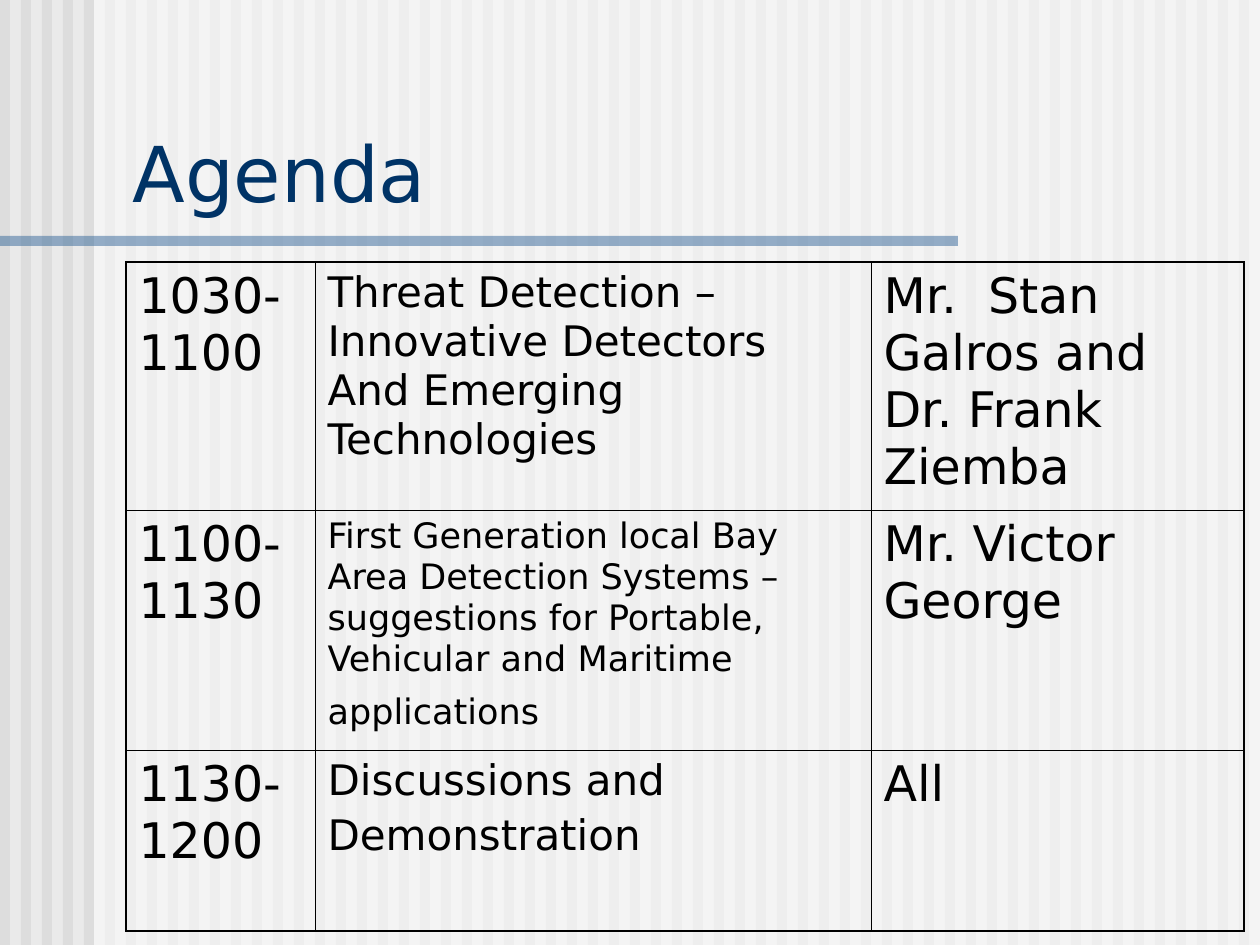
from lxml.etree import SubElement
from pptx import Presentation
from pptx.dml.color import RGBColor as RGB
from pptx.enum.shapes import MSO_SHAPE as SHAPE
from pptx.enum.text import MSO_ANCHOR as ANCHOR
from pptx.oxml.ns import qn
from pptx.util import Emu, Pt

PAPER = RGB(0xEA, 0xEA, 0xEA)
STRIPE = RGB(0xDD, 0xDD, 0xDD)
WHITE = RGB(0xFF, 0xFF, 0xFF)
BLUE = RGB(0x33, 0x66, 0x99)
NAVY = RGB(0x00, 0x33, 0x66)
BLACK = RGB(0x00, 0x00, 0x00)
FONT = "DejaVu Sans"
THICK, THIN = 1.08, 0.45

COLS = [189, 556, 373]
ROWS = [248, 240, 181]
AGENDA = [
    ["1030-1100", "Threat Detection – Innovative Detectors And Emerging Technologies",
     "Mr.  Stan Galros and Dr. Frank Ziemba"],
    ["1100-1130", "First Generation local Bay Area Detection Systems – suggestions for "
     "Portable, Vehicular and Maritime applications", "Mr. Victor George"],
    ["1130-1200", "Discussions and Demonstration", "All"],
]
TOPIC_SIZES = [24, 20, 24]


def px(n):
    return Emu(round(n * 914400 / 126))


class Deck:
    """Draws styled elements on the current slide."""

    def __init__(self, prs):
        self.s = prs.slides.add_slide(prs.slide_layouts[6])
        fill = self.s.background.fill
        fill.solid()
        fill.fore_color.rgb = PAPER

    def rect(self, x, y, w, h, color, alpha=None):
        sp = self.s.shapes.add_shape(SHAPE.RECTANGLE, px(x), px(y), px(w), px(h))
        sp.shadow.inherit = False
        sp.fill.solid()
        sp.fill.fore_color.rgb = color
        sp.line.fill.background()
        if alpha:
            clr = sp.fill._xPr.find(".//" + qn("a:srgbClr"))
            SubElement(clr, qn("a:alpha"), val=str(alpha * 1000))

    def font(self, r, size, color=BLACK):
        r.font.name = FONT
        r.font.size = Pt(size)
        r.font.color.rgb = color

    def title(self, x, y, w, h, text):
        tf = self.s.shapes.add_textbox(px(x), px(y), px(w), px(h)).text_frame
        tf.word_wrap = True
        tf.vertical_anchor = ANCHOR.BOTTOM
        tf.text = text
        self.font(tf.paragraphs[0].runs[0], 44, NAVY)

    def borders(self, cell, widths):
        tc_pr = cell._tc.get_or_add_tcPr()
        for side, width in widths.items():
            ln = SubElement(tc_pr, qn("a:ln" + side), w=str(Pt(width)))
            SubElement(SubElement(ln, qn("a:solidFill")), qn("a:srgbClr"), val=str(BLACK))

    def cell(self, cell, text, size, before, tail):
        cell.text = text
        p = cell.text_frame.paragraphs[0]
        p.space_before = Pt(before)
        self.font(p.runs[0], size)
        if tail:
            r = p.add_run()
            r.text = " "
            self.font(r, 28)

    def table(self, x, y, cols, rows, data):
        tbl = self.s.shapes.add_table(len(rows), len(cols), px(x), px(y),
                                      px(sum(cols)), px(sum(rows))).table
        tbl.first_row = tbl.horz_banding = False
        for col, w in zip(tbl.columns, cols):
            col.width = px(w)
        for i, h in enumerate(rows):
            tbl.rows[i].height = px(h)
            for j, text in enumerate(data[i]):
                cell = tbl.cell(i, j)
                edges = {"L": j == 0, "R": j == len(cols) - 1,
                         "T": i == 0, "B": i == len(rows) - 1}
                self.borders(cell, {k: THICK if e else THIN for k, e in edges.items()})
                cell.fill.background()
                topic = j == 1
                self.cell(cell, text, TOPIC_SIZES[i] if topic else 28,
                          6 if topic and i == 0 else 7, topic and i > 0)


def main():
    prs = Presentation()
    prs.slide_width, prs.slide_height = px(1260), px(945)
    deck = Deck(prs)
    for i in range(60):
        deck.rect(21 * i, 0, 10, 945, STRIPE)
    deck.rect(94, 0, 1166, 945, WHITE, 50)
    deck.rect(0, 236, 958, 10, BLUE, 50)
    deck.title(120, 118, 1125, 106, "Agenda")
    deck.table(126, 262, COLS, ROWS, AGENDA)
    prs.save("out.pptx")


if __name__ == "__main__":
    main()
